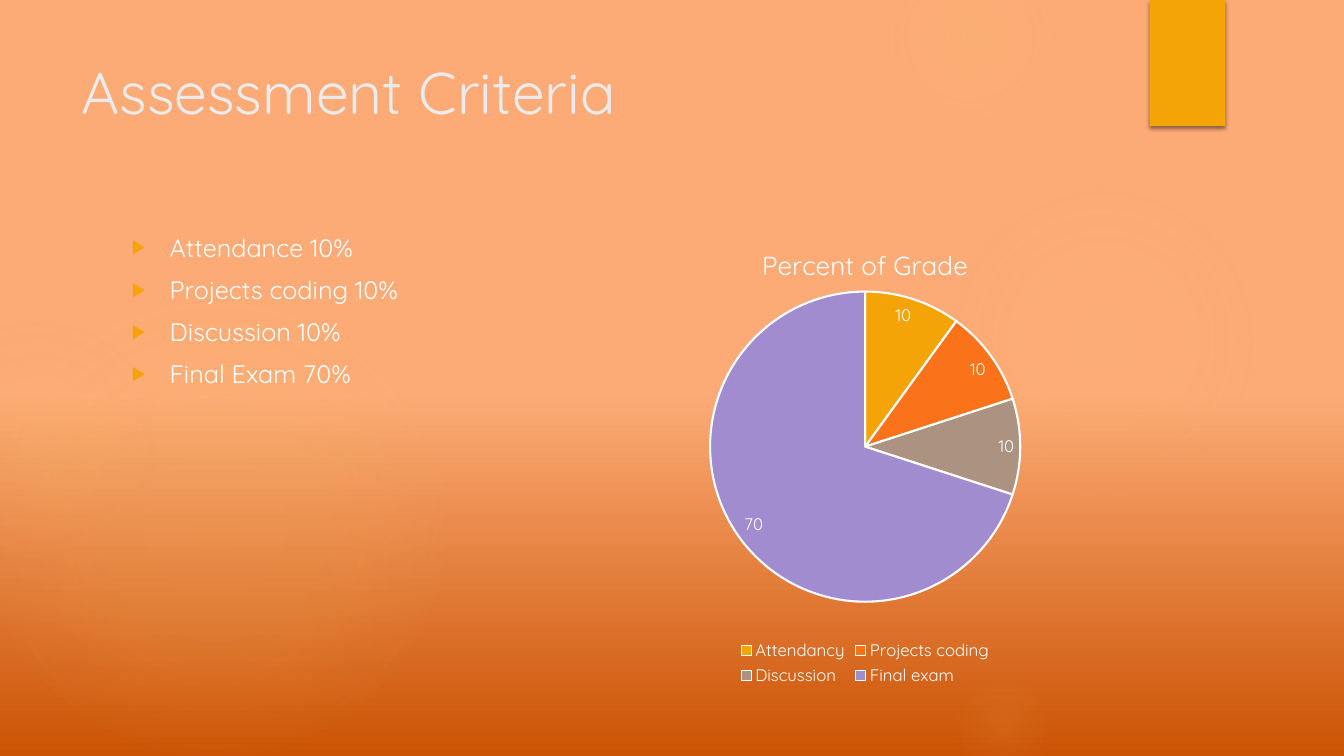
from dataclasses import dataclass

from lxml.etree import SubElement
from pptx import Presentation
from pptx.chart.data import CategoryChartData
from pptx.dml.color import RGBColor
from pptx.enum.chart import XL_CHART_TYPE as ChartType
from pptx.enum.chart import XL_LABEL_POSITION as LabelPosition
from pptx.enum.chart import XL_LEGEND_POSITION as LegendPosition
from pptx.enum.shapes import MSO_SHAPE as Preset
from pptx.enum.text import MSO_ANCHOR as Anchor
from pptx.enum.text import MSO_AUTO_SIZE as AutoSize
from pptx.enum.text import PP_ALIGN as Align
from pptx.oxml.ns import qn
from pptx.util import Emu, Pt

EMU_PER_PX = 9525


@dataclass(frozen=True)
class Theme:
    font: str = "Quicksand"
    text: str = "FFFFFF"
    title: str = "EBEBEB"
    accent: str = "F5A408"
    glow: str = "FAC96A"
    glow_edge: str = "F59B74"
    backdrop_low: str = "CB5304"
    backdrop_high: str = "FCAB76"
    slices: tuple = ("F5A408", "FA731A", "AB9281", "A18CD0")
    title_size: float = 42
    body_size: float = 18
    chart_title_size: float = 18.6
    label_size: float = 12


THEME = Theme()

# left, top, diameter, gradient stops as (position %, colour, opacity %)
GLOWS = [
    (-16, 280, 440, [(0, THEME.glow, 11), (36, THEME.glow, 10), (75, THEME.glow, 0)]),
    (-88, 304, 248, [(0, THEME.glow, 8), (36, THEME.glow, 5), (71, THEME.glow_edge, 0)]),
    (903, 176, 296, [(0, THEME.glow, 7), (36, THEME.glow, 6), (69, THEME.glow, 0)]),
    (840, -48, 168, [(0, THEME.glow, 14), (36, THEME.glow, 7), (73, THEME.glow, 0)]),
    (903, 640, 104, [(0, THEME.glow, 10), (31, THEME.glow, 5), (66, THEME.glow, 0)]),
]
CRITERIA = ["Attendance 10%", "Projects coding 10%", "Discussion 10%", "Final Exam 70%"]
GRADES = {"Attendancy": 10, "Projects coding": 10, "Discussion": 10, "Final exam": 70}


def px(length):
    return Emu(length * EMU_PER_PX)


def box(*lengths):
    return [px(length) for length in lengths]


def rgb(colour):
    return RGBColor.from_string(colour)


def add_xml(parent, tag, **attributes):
    return SubElement(parent, qn(tag), {name: str(value) for name, value in attributes.items()})


def set_font(font, size, colour=THEME.text):
    font.name = THEME.font
    font.size = Pt(size)
    font.bold = False
    font.color.rgb = rgb(colour)


def fill_gradient(fill, owner, stops, angle=None):
    """Give owner's fill these stops: linear at angle, or circular without one."""
    fill.gradient()
    gradient = next(owner.iter(qn("a:gradFill")))
    for child in list(gradient):
        gradient.remove(child)
    stop_list = add_xml(gradient, "a:gsLst")
    for position, colour, opacity in stops:
        stop = add_xml(stop_list, "a:gs", pos=position * 1000)
        colour_element = add_xml(stop, "a:srgbClr", val=colour)
        add_xml(colour_element, "a:alpha", val=opacity * 1000)
    if angle is None:
        circle = add_xml(gradient, "a:path", path="circle")
        add_xml(circle, "a:fillToRect", l=50000, t=50000, r=50000, b=50000)
    else:
        add_xml(gradient, "a:lin", ang=angle * 60000, scaled=0)


def add_glow(slide, left, top, diameter, stops):
    glow = slide.shapes.add_shape(Preset.OVAL, *box(left, top, diameter, diameter))
    glow.shadow.inherit = False
    glow.line.fill.background()
    fill_gradient(glow.fill, glow.element, stops)


def add_tab(slide):
    tab = slide.shapes.add_shape(Preset.RECTANGLE, *box(1095, 0, 72, 120))
    tab.fill.solid()
    tab.fill.fore_color.rgb = rgb(THEME.accent)
    tab.line.fill.background()
    tab.shadow.inherit = False
    effects = next(tab.element.iter(qn("a:effectLst")))
    shadow = add_xml(effects, "a:outerShdw", blurRad=Pt(3), dist=Pt(2), dir=90 * 60000, rotWithShape=0)
    add_xml(add_xml(shadow, "a:srgbClr", val="000000"), "a:alpha", val=45000)


def place_text(slide, placeholder, bounds):
    """Move a placeholder in front of the decoration and return its text frame."""
    slide.shapes.element.append(placeholder.element)
    placeholder.left, placeholder.top, placeholder.width, placeholder.height = box(*bounds)
    frame = placeholder.text_frame
    frame.auto_size = AutoSize.NONE
    frame.vertical_anchor = Anchor.TOP
    return frame


def fill_title(slide, text):
    frame = place_text(slide, slide.shapes.title, (68, 48, 988, 147))
    frame.text = text
    paragraph = frame.paragraphs[0]
    paragraph.alignment = Align.LEFT
    set_font(paragraph.font, THEME.title_size, THEME.title)


def set_bullet(paragraph, character):
    properties = paragraph._p.get_or_add_pPr()
    properties.set("marL", str(px(36)))
    properties.set("indent", str(px(-36)))
    add_xml(add_xml(properties, "a:buClr"), "a:srgbClr", val=THEME.accent)
    add_xml(properties, "a:buSzPct", val=80000)
    add_xml(properties, "a:buChar", char=character)


def fill_list(slide, items):
    frame = place_text(slide, slide.placeholders[1], (116, 216, 462, 441))
    frame.text = "\n".join(items)
    for paragraph in frame.paragraphs:
        paragraph.space_before = Pt(2.6)
        paragraph.space_after = Pt(6)
        set_bullet(paragraph, "▶")
        set_font(paragraph.font, THEME.body_size)


def set_plot_layout(chart, **fractions):
    plot_area = next(chart.element.iter(qn("c:plotArea")))
    for layout in plot_area.findall(qn("c:layout")):
        plot_area.remove(layout)
    layout = add_xml(plot_area, "c:layout")
    plot_area.insert(0, layout)
    manual = add_xml(layout, "c:manualLayout")
    add_xml(manual, "c:layoutTarget", val="inner")
    for mode in ("c:xMode", "c:yMode"):
        add_xml(manual, mode, val="edge")
    for name, fraction in fractions.items():
        add_xml(manual, f"c:{name}", val=fraction)


def add_pie(slide, title, values):
    data = CategoryChartData()
    data.categories = list(values)
    data.add_series(title, list(values.values()))
    chart = slide.shapes.add_chart(ChartType.PIE, *box(593, 216, 462, 441), data).chart
    set_font(chart.font, THEME.label_size)
    chart.has_title = True
    chart.chart_title.include_in_layout = False
    chart.chart_title.text_frame.text = title
    set_font(chart.chart_title.text_frame.paragraphs[0].font, THEME.chart_title_size)
    chart.has_legend = True
    chart.legend.position = LegendPosition.BOTTOM
    chart.legend.include_in_layout = False
    set_font(chart.legend.font, THEME.label_size)

    plot = chart.plots[0]
    plot.vary_by_categories = True
    plot.has_data_labels = True
    plot.data_labels.show_value = True
    plot.data_labels.show_percentage = False
    plot.data_labels.position = LabelPosition.INSIDE_END
    set_font(plot.data_labels.font, THEME.label_size)
    for index, colour in enumerate(THEME.slices):
        pie_slice = plot.series[0].points[index].format
        pie_slice.fill.solid()
        pie_slice.fill.fore_color.rgb = rgb(colour)
        pie_slice.line.color.rgb = rgb(THEME.text)
        pie_slice.line.width = Pt(1.5)
    set_plot_layout(chart, x=0.18, y=0.14, w=0.64, h=0.67)


def main():
    presentation = Presentation()
    presentation.slide_width, presentation.slide_height = box(1280, 720)
    slide = presentation.slides.add_slide(presentation.slide_layouts[1])
    backdrop = [(0, THEME.backdrop_low, 100), (48, THEME.backdrop_high, 100), (100, THEME.backdrop_high, 100)]
    fill_gradient(slide.background.fill, slide.element, backdrop, angle=270)
    for glow in GLOWS:
        add_glow(slide, *glow)
    add_tab(slide)
    fill_title(slide, "Assessment Criteria")
    fill_list(slide, CRITERIA)
    add_pie(slide, "Percent of Grade", GRADES)
    presentation.save("out.pptx")


if __name__ == "__main__":
    main()
